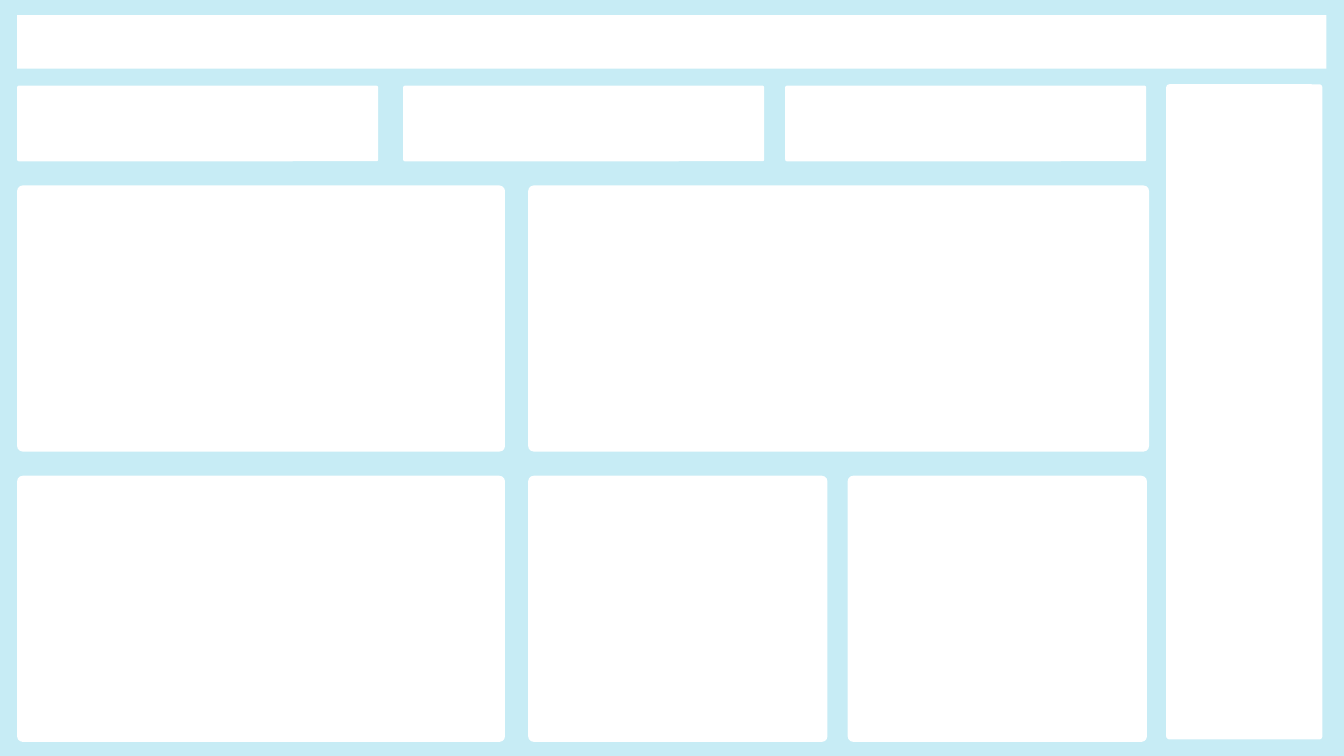
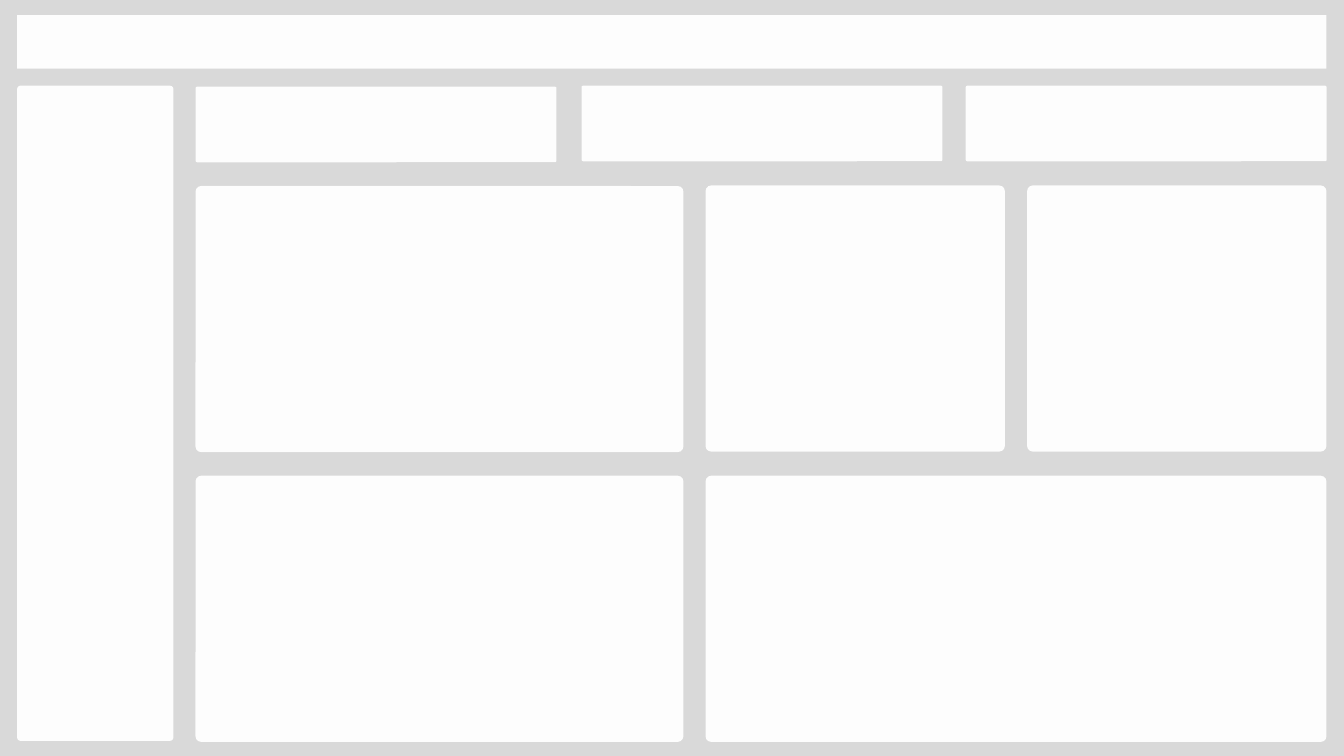
from pptx import Presentation
from pptx.dml.color import RGBColor
from pptx.enum.shapes import MSO_SHAPE
from pptx.oxml.ns import qn
from pptx.util import Pt
from lxml import etree

WHITE = RGBColor(0xFF, 0xFF, 0xFF)
SKY = RGBColor(0xC7, 0xEC, 0xF5)
GREY = RGBColor(0xD9, 0xD9, 0xD9)

# Shared grid, in points
SLIDE_W, SLIDE_H = 960, 540
LEFT = 12.24
KPI_Y, UPPER_Y, LOWER_Y = 61.2, 132.5, 339.84
CORNER = 0.021
SIZES = {
    "header": (935.3, 38.2),
    "kpi": (257.8, 54),
    "medium": (348.5, 190.1),
    "small": (213.8, 190.1),
    "large": (443.5, 190.1),
    "sidebar": (111.6, 468),
}
HEADER = ("header", LEFT, 10.8)

# Each dashboard: background, card opacity in percent, cards as (kind, x, y)
DASHBOARDS = [
    {
        "background": SKY,
        "opacity": 100,
        "cards": [
            ("kpi", LEFT, KPI_Y), ("kpi", 288, KPI_Y), ("kpi", 560.9, KPI_Y),
            ("medium", LEFT, UPPER_Y), ("large", 377.3, UPPER_Y),
            ("medium", LEFT, LOWER_Y), ("small", 377.3, LOWER_Y),
            ("small", 605.5, LOWER_Y),
            ("sidebar", 833, 60.2),
        ],
    },
    {
        "background": GREY,
        "opacity": 95,
        "cards": [
            ("sidebar", LEFT, KPI_Y),
            ("kpi", 139.7, 61.9), ("kpi", 415.4, KPI_Y), ("kpi", 689.8, KPI_Y),
            ("medium", 139.7, 132.9), ("small", 504, UPPER_Y),
            ("small", 733.7, UPPER_Y),
            ("medium", 139.7, LOWER_Y), ("large", 504, LOWER_Y),
        ],
    },
]


def add_card(s, kind, x, y, opacity):
    shape = MSO_SHAPE.RECTANGLE if kind == "header" else MSO_SHAPE.ROUNDED_RECTANGLE
    w, h = SIZES[kind]
    sp = s.shapes.add_shape(shape, Pt(x), Pt(y), Pt(w), Pt(h))
    if kind != "header":
        sp.adjustments[0] = CORNER
    sp.shadow.inherit = False
    sp.line.fill.background()
    sp.fill.solid()
    sp.fill.fore_color.rgb = WHITE
    if opacity < 100:
        color = sp.fill._xPr.find(qn("a:solidFill"))[0]
        etree.SubElement(color, qn("a:alpha")).set("val", str(opacity * 1000))


def add_dashboard(prs, background, opacity, cards):
    s = prs.slides.add_slide(prs.slide_layouts[6])
    s.background.fill.solid()
    s.background.fill.fore_color.rgb = background
    for kind, x, y in [HEADER] + cards:
        add_card(s, kind, x, y, opacity)


def main():
    prs = Presentation()
    prs.slide_width, prs.slide_height = Pt(SLIDE_W), Pt(SLIDE_H)
    for dashboard in DASHBOARDS:
        add_dashboard(prs, **dashboard)
    prs.save("out.pptx")


if __name__ == "__main__":
    main()
